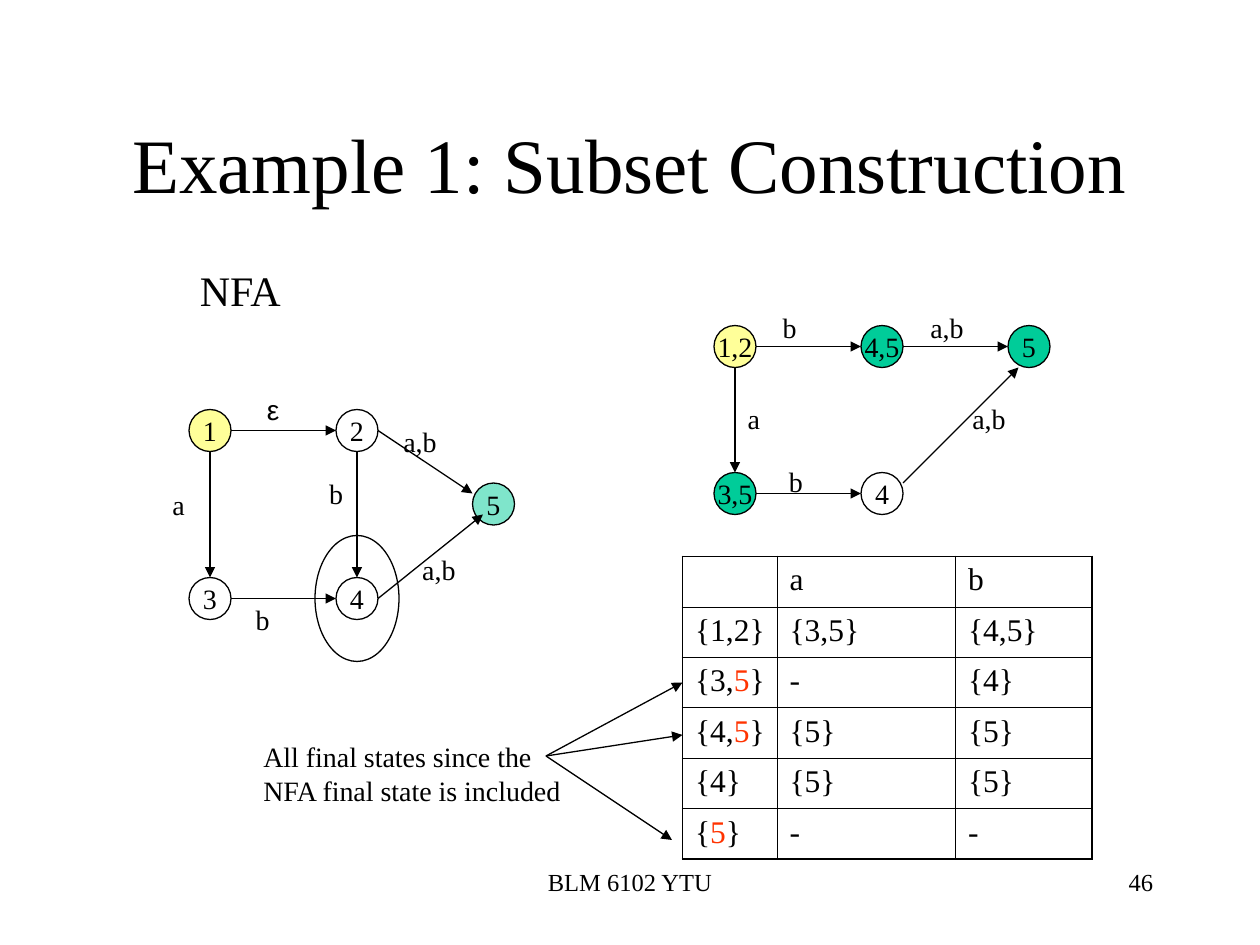
"""Build the subset construction slide: an NFA, its DFA and the transition table."""
from typing import NamedTuple, Optional

from lxml import etree
from pptx import Presentation
from pptx.dml.color import RGBColor
from pptx.enum import shapes, text
from pptx.oxml.ns import qn
from pptx.util import Emu, Inches, Pt

COLS, ROWS = 120, 90
UNIT = Inches(10) // COLS
NODE = 4
BLACK, WHITE, RED = "000000", "FFFFFF", "FF3300"
START, FINAL = "FFFF99", "00CC99"
LEFT, CENTER, RIGHT = text.PP_ALIGN.LEFT, text.PP_ALIGN.CENTER, text.PP_ALIGN.RIGHT
TOP, MIDDLE = text.MSO_ANCHOR.TOP, text.MSO_ANCHOR.MIDDLE


class Node(NamedTuple):
    """An automaton state, placed by its top left grid cell."""
    name: str
    col: float
    row: float
    fill: Optional[str] = None
    alpha: int = 100


class Edge(NamedTuple):
    """A transition arrow, with its label's top centre."""
    start: tuple
    end: tuple
    label: str = ""
    at: tuple = (0, 0)
    font: str = "Times New Roman"


NODES = [
    Node("1", 18, 39, START), Node("5", 45, 46, FINAL, 50),
    Node("2", 32, 39, WHITE), Node("4", 32, 55, WHITE), Node("3", 18, 55, WHITE),
    Node("1,2", 68, 31, START), Node("4,5", 82, 31, FINAL), Node("5", 96, 31, FINAL),
    Node("3,5", 68, 45, FINAL), Node("4", 82, 45),
]
EDGES = [
    Edge((22, 41), (32, 41), "ε", (26, 36.75), "Arial"),
    Edge((34, 43), (34, 55), "b", (32, 44.75)),
    Edge((20, 43), (20, 55), "a", (17, 45.85)),
    Edge((22, 57), (32, 57), "b", (25, 56.75)),
    Edge((36, 57), (46, 49), "a,b", (41.8, 52)),
    Edge((36, 41), (45, 47), "a,b", (40, 39.85)),
    Edge((72, 33), (82, 33), "b", (75.2, 29)),
    Edge((86, 33), (96, 33), "a,b", (90.2, 29)),
    Edge((70, 35), (70, 45), "a", (71.8, 37.65)),
    Edge((72, 47), (82, 47), "b", (75.8, 43.65)),
    Edge((86, 46), (97, 35), "a,b", (94.2, 37.65)),
]
NOTE_EDGES = [Edge((52, 72), end) for end in ((65, 65), (65, 70), (64, 80))]
TABLE = [
    ("", "a", "b"), ("{1,2}", "{3,5}", "{4,5}"), ("{3,5}", "-", "{4}"),
    ("{4,5}", "{5}", "{5}"), ("{4}", "{5}", "{5}"), ("{5}", "-", "-"),
]
FINAL_ROWS = (2, 3, 5)
COL_WIDTHS = (9, 17, 13)
ROW_HEIGHT = 4.8


def grid(*lengths: float) -> list:
    """Turn grid units into slide lengths."""
    return [Emu(round(n * UNIT)) for n in lengths]


def color(value: str) -> RGBColor:
    """Read a hex colour."""
    return RGBColor.from_string(value)


def add_run(p, words: str, size: float, fill: str = BLACK, font: str = "Times New Roman") -> None:
    """Append one formatted run."""
    r = p.add_run()
    r.text = words
    r.font.size, r.font.name = Pt(size), font
    r.font.color.rgb = color(fill)


def write(tf, words: str, size: float = 16, align=CENTER, anchor=TOP,
          wrap: bool = False, font: str = "Times New Roman") -> None:
    """Fill a text frame, one paragraph a line."""
    tf.word_wrap, tf.vertical_anchor = wrap, anchor
    for i, line in enumerate(words.split("\n")):
        p = tf.add_paragraph() if i else tf.paragraphs[0]
        p.alignment = align
        add_run(p, line, size, font=font)


def add_text(s, words: str, box: tuple, **fmt) -> None:
    """Add a text box in grid units."""
    write(s.shapes.add_textbox(*grid(*box)).text_frame, words, **fmt)


def add_ellipse(s, box: tuple, fill: Optional[str] = None, alpha: int = 100):
    """Add an outlined ellipse in grid units."""
    sp = s.shapes.add_shape(shapes.MSO_SHAPE.OVAL, *grid(*box))
    sp.shadow.inherit = False
    sp.line.color.rgb, sp.line.width = color(BLACK), Pt(0.75)
    if fill is None:
        sp.fill.background()
        return sp
    sp.fill.solid()
    sp.fill.fore_color.rgb = color(fill)
    if alpha < 100:
        clr = sp._element.spPr.find(f"{qn('a:solidFill')}/{qn('a:srgbClr')}")
        etree.SubElement(clr, qn("a:alpha"), val=str(alpha * 1000))
    return sp


def add_node(s, node: Node) -> None:
    """Draw a state circle with its name."""
    sp = add_ellipse(s, (node.col, node.row, NODE, NODE), node.fill, node.alpha)
    write(sp.text_frame, node.name, anchor=MIDDLE)


def add_edge(s, edge: Edge) -> None:
    """Draw an arrow and its label."""
    sp = s.shapes.add_connector(shapes.MSO_CONNECTOR.STRAIGHT, *grid(*edge.start, *edge.end))
    sp.line.color.rgb, sp.line.width = color(BLACK), Pt(0.75)
    etree.SubElement(sp.line._get_or_add_ln(), qn("a:tailEnd"), type="triangle")
    etree.SubElement(sp._element.spPr, qn("a:effectLst"))
    if edge.label:
        width = 6 if len(edge.label) > 1 else 3.7
        x, y = edge.at
        add_text(s, edge.label, (x - width / 2, y, width, 4.4), font=edge.font)


def add_borders(cell, outer: dict) -> None:
    """Draw cell borders, thicker on the outer sides."""
    tcpr = cell._tc.get_or_add_tcPr()
    for side, is_outer in outer.items():
        ln = etree.SubElement(tcpr, qn(f"a:ln{side}"), w=str(Pt(1.08 if is_outer else 0.45)))
        fill = etree.SubElement(ln, qn("a:solidFill"))
        etree.SubElement(fill, qn("a:srgbClr"), val=BLACK)


def add_transitions(s, col: float, row: float) -> None:
    """Add the transition table, final states in red."""
    n_rows, n_cols = len(TABLE), len(COL_WIDTHS)
    box = grid(col, row, sum(COL_WIDTHS), n_rows * ROW_HEIGHT)
    table = s.shapes.add_table(n_rows, n_cols, *box).table
    table.first_row = table.horz_banding = False
    for column, width in zip(table.columns, grid(*COL_WIDTHS)):
        column.width = width
    for i, values in enumerate(TABLE):
        for j, value in enumerate(values):
            cell = table.cell(i, j)
            cell.margin_right = Inches(0.02)
            add_borders(cell, {"L": j == 0, "R": j == n_cols - 1,
                               "T": i == 0, "B": i == n_rows - 1})
            cell.fill.background()
            is_final = j == 0 and i in FINAL_ROWS
            parts = value.partition("5") if is_final else (value,)
            for part in filter(None, parts):
                add_run(cell.text_frame.paragraphs[0], part, 18,
                        RED if is_final and part == "5" else BLACK)


def main() -> None:
    """Build and save the slide."""
    prs = Presentation()
    prs.slide_width, prs.slide_height = grid(COLS, ROWS)
    s = prs.slides.add_slide(prs.slide_layouts[6])
    add_text(s, "BLM 6102 YTU", (41, 82, 38, 6), size=14, wrap=True)
    add_text(s, "46", (86, 82, 25, 6), size=14, align=RIGHT, wrap=True)
    add_text(s, "Example 1: Subset Construction", (9, 8, 102, 15),
             size=44, anchor=MIDDLE, wrap=True)
    add_text(s, "NFA", (17.85, 24.6, 10.3, 6), size=24, align=LEFT)
    for node in NODES:
        add_node(s, node)
    for edge in EDGES:
        add_edge(s, edge)
    add_transitions(s, 65, 53)
    add_ellipse(s, (30, 51, 8, 12))
    add_text(s, "All final states since the\nNFA final state is included",
             (23.9, 69.85, 31.1, 7.7), align=LEFT)
    for edge in NOTE_EDGES:
        add_edge(s, edge)
    prs.save("out.pptx")


if __name__ == "__main__":
    main()
